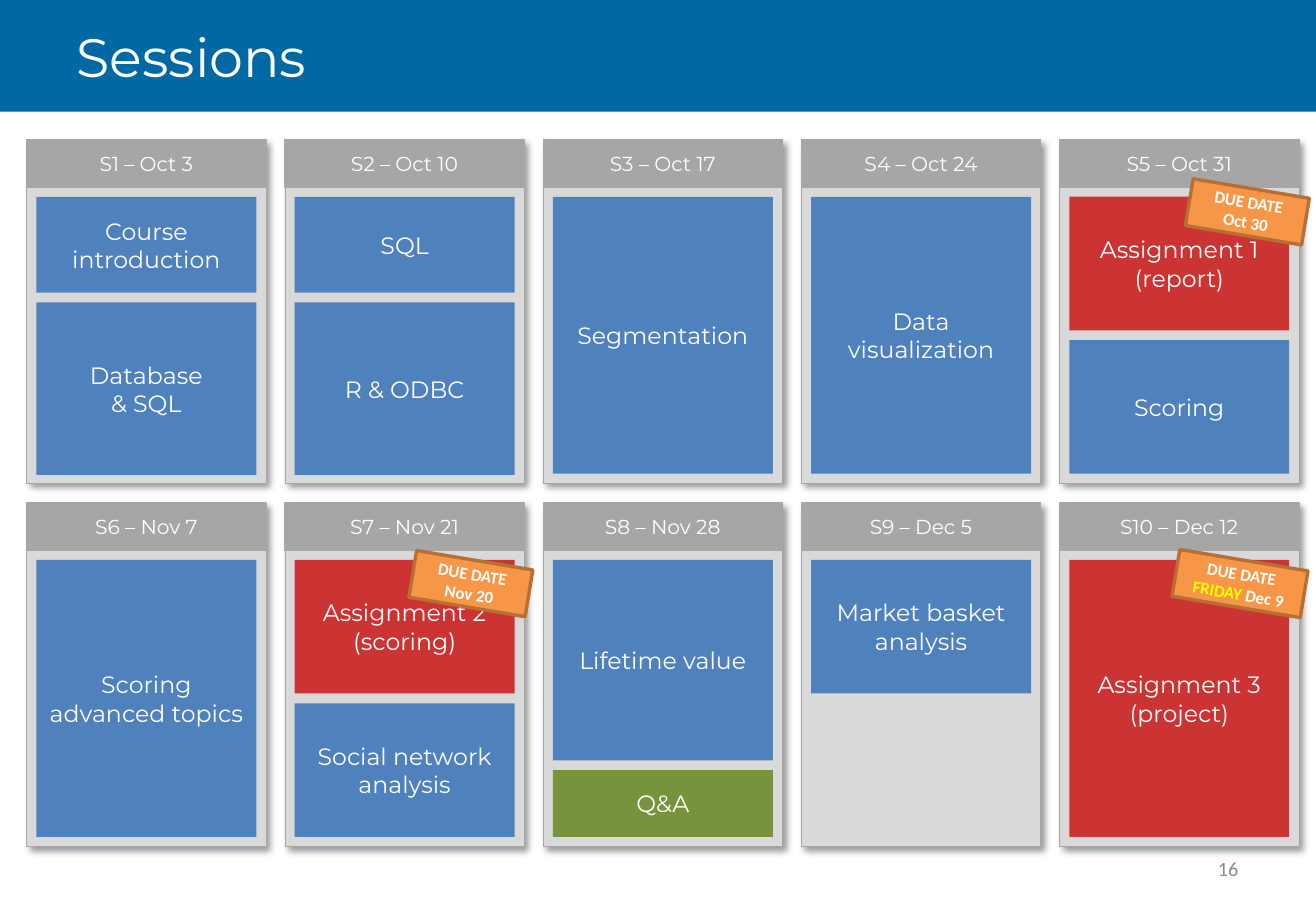
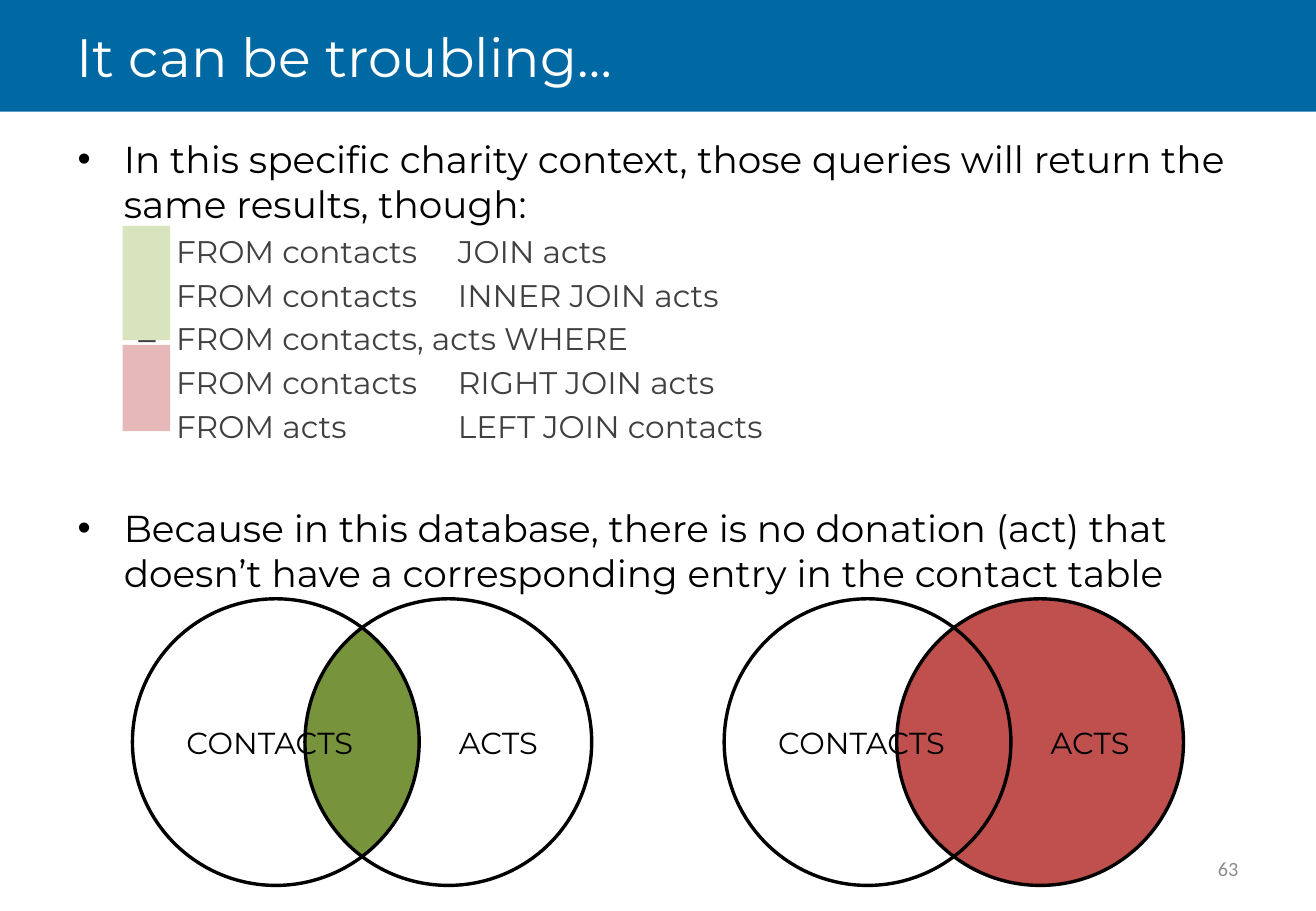
import math

import pptx
import pptx.dml.color
import pptx.enum.shapes
import pptx.enum.text
import pptx.util
from lxml import etree
from pptx.dml.color import RGBColor
from pptx.enum.shapes import MSO_SHAPE
from pptx.enum.text import MSO_ANCHOR, PP_ALIGN
from pptx.oxml.ns import qn
from pptx.util import Inches

WHITE = RGBColor(0xFF, 0xFF, 0xFF)
BLACK = RGBColor(0x00, 0x00, 0x00)
BAND_BLUE = RGBColor(0x00, 0x68, 0xA2)
NUMBER_GRAY = RGBColor(0x8C, 0x8C, 0x8C)
TRAY_GRAY = RGBColor(0xD9, 0xD9, 0xD9)
HEADER_GRAY = RGBColor(0xA6, 0xA6, 0xA6)
QUERY_GRAY = RGBColor(0x40, 0x40, 0x40)
TOPIC_BLUE = RGBColor(0x4F, 0x81, 0xBD)
ASSIGNMENT_RED = RGBColor(0xCC, 0x34, 0x33)
GREEN = RGBColor(0x77, 0x93, 0x3C)
DUE_ORANGE = RGBColor(0xF7, 0x96, 0x46)
DUE_BORDER = RGBColor(0xB7, 0x6F, 0x34)
YELLOW = RGBColor(0xFF, 0xFF, 0x00)
ACTS_RED = RGBColor(0xC0, 0x50, 0x4D)
PALE_GREEN = RGBColor(0xD7, 0xE4, 0xBD)
PALE_RED = RGBColor(0xE6, 0xB9, 0xB8)

HEADING_FONT = "Montserrat"
SMALL_FONT = "Calibri"

SLIDE_WIDTH, SLIDE_HEIGHT = 10.83, 7.5
BAND_HEIGHT = 0.92

GRID_LEFT, GRID_TOP = 0.22, 1.15
COLUMN_PITCH, ROW_PITCH, COLUMNS = 2.125, 2.99, 5
TRAY_WIDTH, TRAY_HEIGHT, HEADER_HEIGHT = 1.97, 2.83, 0.39
TOPIC_GAP = 0.08
FULL, HALF = 2.28, 1.1

CIRCLE_SIZE, CIRCLE_OFFSET, CIRCLE_TOP = 2.36, 1.42, 4.93

SESSIONS = [
    ("S1 – Oct 3", [("Course introduction", 0.79, TOPIC_BLUE), ("Database\n& SQL", 1.42, TOPIC_BLUE)]),
    ("S2 – Oct 10", [("SQL", 0.79, TOPIC_BLUE), ("R & ODBC", 1.42, TOPIC_BLUE)]),
    ("S3 – Oct 17", [("Segmentation", FULL, TOPIC_BLUE)]),
    ("S4 – Oct 24", [("Data\nvisualization", FULL, TOPIC_BLUE)]),
    ("S5 – Oct 31", [("Assignment 1\n(report)", HALF, ASSIGNMENT_RED), ("Scoring", HALF, TOPIC_BLUE)]),
    ("S6 – Nov 7", [("Scoring\nadvanced topics", FULL, TOPIC_BLUE)]),
    ("S7 – Nov 21", [("Assignment 2\n(scoring)", HALF, ASSIGNMENT_RED),
                     ("Social network analysis", HALF, TOPIC_BLUE)]),
    ("S8 – Nov 28", [("Lifetime value", 1.65, TOPIC_BLUE), ("Q&A", 0.55, GREEN)]),
    ("S9 – Dec 5", [("Market basket analysis", HALF, TOPIC_BLUE)]),
    ("S10 – Dec 12", [("Assignment 3\n(project)", FULL, ASSIGNMENT_RED)]),
]

DUE_DATES = [
    (9.78, 1.55, 0.97, "Oct 30"),
    (9.67, 4.61, 1.07, "FRIDAY Dec 9"),
    (3.39, 4.61, 0.97, "Nov 20"),
]

QUERIES = [
    "FROM contacts\tJOIN acts",
    "FROM contacts\tINNER JOIN acts",
    "FROM contacts, acts WHERE",
    "FROM contacts\tRIGHT JOIN acts",
    "FROM acts\tLEFT JOIN contacts",
]


def format_run(run, size, color, font, bold=False):
    run.font.size = pptx.util.Pt(size)
    run.font.name = font
    run.font.bold = bold
    run.font.color.rgb = color


def write_text(shape, text, size=14, color=WHITE, font=HEADING_FONT, bold=False,
               align=PP_ALIGN.CENTER, inset=0.1, highlight=None):
    frame = shape.text_frame
    frame.word_wrap = True
    frame.vertical_anchor = MSO_ANCHOR.MIDDLE
    frame.margin_left = frame.margin_right = Inches(inset)
    for index, line in enumerate(text.split("\n")):
        paragraph = frame.add_paragraph() if index else frame.paragraphs[0]
        paragraph.alignment = align
        if highlight and line.startswith(highlight):
            pieces = [(highlight, YELLOW), (line[len(highlight):], color)]
        else:
            pieces = [(line, color)]
        for piece, piece_color in pieces:
            run = paragraph.add_run()
            run.text = piece
            format_run(run, size, piece_color, font, bold)


def style_shape(shape, fill=None, line=None, line_width=0.75):
    shape.shadow.inherit = False
    if fill is None:
        shape.fill.background()
    else:
        shape.fill.solid()
        shape.fill.fore_color.rgb = fill
    if line is None:
        shape.line.fill.background()
    else:
        shape.line.color.rgb = line
        shape.line.width = pptx.util.Pt(line_width)


def add_block(shapes, left, top, width, height, kind=MSO_SHAPE.RECTANGLE, **style):
    block = shapes.add_shape(kind, Inches(left), Inches(top), Inches(width), Inches(height))
    style_shape(block, **style)
    return block


def add_label(slide, left, top, width, height, text, **text_format):
    label = slide.shapes.add_textbox(Inches(left), Inches(top), Inches(width), Inches(height))
    write_text(label, text, **text_format)


def add_soft_shadow(shape):
    effects = shape._element.spPr.find(qn("a:effectLst"))
    shadow = etree.SubElement(effects, qn("a:outerShdw"), blurRad=str(pptx.util.Pt(4)),
                              dist=str(pptx.util.Pt(3)), dir="2700000", algn="tl", rotWithShape="0")
    shade = etree.SubElement(shadow, qn("a:srgbClr"), val="000000")
    etree.SubElement(shade, qn("a:alpha"), val="40000")


def add_titled_slide(deck, title, number):
    slide = deck.slides.add_slide(deck.slide_layouts[6])
    add_block(slide.shapes, 0, 0, SLIDE_WIDTH, BAND_HEIGHT, fill=BAND_BLUE)
    add_label(slide, 0.53, 0, 9.75, BAND_HEIGHT, title, size=32, align=PP_ALIGN.LEFT)
    add_label(slide, 7.76, 6.95, 2.53, 0.4, str(number), size=12, color=NUMBER_GRAY,
              font=SMALL_FONT, align=PP_ALIGN.RIGHT)
    return slide


def add_session(slide, position, heading, topics):
    row, column = divmod(position, COLUMNS)
    left = GRID_LEFT + column * COLUMN_PITCH
    top = GRID_TOP + row * ROW_PITCH
    tray = add_block(slide.shapes, left, top, TRAY_WIDTH, TRAY_HEIGHT,
                     fill=TRAY_GRAY, line=HEADER_GRAY, line_width=0.25)
    add_soft_shadow(tray)
    header = add_block(slide.shapes, left, top, TRAY_WIDTH, HEADER_HEIGHT,
                       fill=HEADER_GRAY, line=HEADER_GRAY)
    write_text(header, heading, size=12)
    topic_top = top + HEADER_HEIGHT + TOPIC_GAP
    for name, height, color in topics:
        topic = add_block(slide.shapes, left + TOPIC_GAP, topic_top,
                          TRAY_WIDTH - 2 * TOPIC_GAP, height, fill=color)
        write_text(topic, name, inset=0.05)
        topic_top += height + TOPIC_GAP


def add_due_date(slide, left, top, width, date):
    tag = add_block(slide.shapes, left, top, width, 0.39,
                    fill=DUE_ORANGE, line=DUE_BORDER, line_width=2)
    tag.rotation = 9.5
    write_text(tag, "DUE DATE\n" + date, size=10, font=SMALL_FONT, bold=True,
               inset=0.05, highlight="FRIDAY")


def add_bullet(frame, text, size, color, mark, margin, hanging, level=0, space=0):
    first = frame.paragraphs[0]
    paragraph = frame.add_paragraph() if first.runs else first
    properties = paragraph._p.get_or_add_pPr()
    properties.set("marL", str(Inches(margin)))
    properties.set("indent", str(-Inches(hanging)))
    etree.SubElement(properties, qn("a:buFont"), typeface="Arial")
    etree.SubElement(properties, qn("a:buChar"), char=mark)
    tabs = etree.SubElement(properties, qn("a:tabLst"))
    etree.SubElement(tabs, qn("a:tab"), pos=str(Inches(3.13)), algn="l")
    paragraph.level = level
    paragraph.space_before = pptx.util.Pt(space)
    run = paragraph.add_run()
    run.text = text
    format_run(run, size, color, HEADING_FONT)


def add_explanation(slide):
    body = slide.shapes.add_textbox(Inches(0.54), Inches(1.07), Inches(9.75), Inches(3.7))
    frame = body.text_frame
    frame.word_wrap = True
    point = {"size": 22.2, "color": BLACK, "mark": "•", "margin": 0.38, "hanging": 0.38}
    query = {"size": 18.5, "color": QUERY_GRAY, "mark": "–", "margin": 0.81, "hanging": 0.31,
             "level": 1, "space": 3.7}
    add_bullet(frame, "In this specific charity context, those queries will return "
               "the same results, though:", **point)
    for text in QUERIES:
        add_bullet(frame, text, **query)
    add_bullet(frame, "Because in this database, there is no donation (act) that "
               "doesn’t have a corresponding entry in the contact table", space=36, **point)


def add_overlap(shapes, left):
    radius = CIRCLE_SIZE / 2
    middle = CIRCLE_TOP + radius
    half_angle = math.acos(CIRCLE_OFFSET / CIRCLE_SIZE)
    steps = 16
    outline = []
    for center, facing in ((left + radius, 0), (left + CIRCLE_OFFSET + radius, math.pi)):
        for step in range(steps + 1):
            angle = facing + half_angle * (2 * step / steps - 1)
            outline.append((Inches(center + radius * math.cos(angle)),
                            Inches(middle + radius * math.sin(angle))))
    builder = shapes.build_freeform(*outline[0])
    builder.add_line_segments(outline[1:], close=True)
    style_shape(builder.convert_to_shape(), fill=GREEN)


def add_venn(slide, left, acts_fill=None, show_overlap=False):
    shapes = slide.shapes.add_group_shape().shapes
    if show_overlap:
        add_overlap(shapes, left)
    for name, offset, fill, align in (("ACTS", CIRCLE_OFFSET, acts_fill, PP_ALIGN.RIGHT),
                                      ("CONTACTS", 0, None, PP_ALIGN.LEFT)):
        circle = add_block(shapes, left + offset, CIRCLE_TOP, CIRCLE_SIZE, CIRCLE_SIZE,
                           kind=MSO_SHAPE.OVAL, fill=fill, line=BLACK, line_width=2)
        write_text(circle, name, size=18, color=BLACK, align=align)


def build_sessions(deck):
    slide = add_titled_slide(deck, "Sessions", 16)
    for position, (heading, topics) in enumerate(SESSIONS):
        add_session(slide, position, heading, topics)
    for due_date in DUE_DATES:
        add_due_date(slide, *due_date)


def build_joins(deck):
    slide = add_titled_slide(deck, "It can be troubling…", 63)
    add_explanation(slide)
    add_venn(slide, 1.09, show_overlap=True)
    add_venn(slide, 5.96, acts_fill=ACTS_RED)
    for top, height, color in ((1.86, 0.94, PALE_GREEN), (2.84, 0.71, PALE_RED)):
        add_block(slide.shapes, 1.01, top, 0.39, height, fill=color)


def main():
    deck = pptx.Presentation()
    deck.slide_width = Inches(SLIDE_WIDTH)
    deck.slide_height = Inches(SLIDE_HEIGHT)
    build_sessions(deck)
    build_joins(deck)
    deck.save("out.pptx")


if __name__ == "__main__":
    main()
